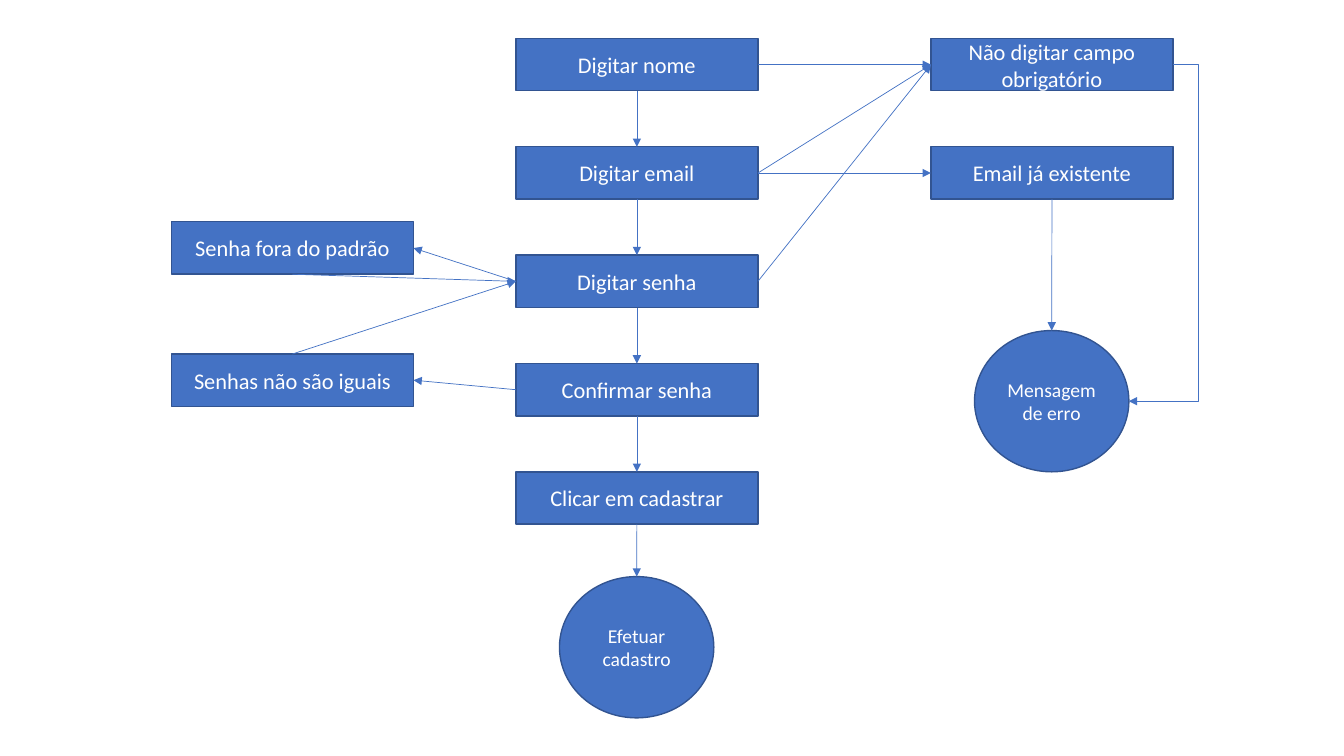
"""Flowchart of a user registration with its error paths."""
from dataclasses import dataclass

from lxml import etree
from pptx import Presentation, util as u
from pptx.dml.color import RGBColor
from pptx.enum import shapes, text
from pptx.oxml.ns import qn


@dataclass(frozen=True)
class Theme:
    """Colours, font and sizes of the flowchart."""
    fill: RGBColor = RGBColor(0x44, 0x72, 0xC4)
    outline: RGBColor = RGBColor(0x32, 0x54, 0x91)
    ink: RGBColor = RGBColor(0xFF, 0xFF, 0xFF)
    font: str = "Calibri"
    step_size: float = 16
    result_size: float = 14
    outline_width: float = 1
    arrow_width: float = 0.5


@dataclass(frozen=True)
class Node:
    """A step or a result, with lengths in centimetres."""
    label: str
    left: float
    top: float
    width: float = 6.1
    height: float = 1.32
    kind: shapes.MSO_SHAPE = shapes.MSO_SHAPE.RECTANGLE
    size: float = Theme.step_size


@dataclass(frozen=True)
class Arrow:
    """A straight arrow between the sides of two nodes."""
    source: str
    source_side: int
    target: str
    target_side: int


THEME = Theme()
TOP, LEFT, BOTTOM, RIGHT = range(4)
ERROR_COLUMN, MAIN_COLUMN, FIELD_COLUMN = 4.32, 13.0, 23.46
FIRST_ROW, ROW_STEP = 0.97, 2.73
DETOUR = 0.63

MAIN_STEPS = ["Digitar nome", "Digitar email", "Digitar senha",
              "Confirmar senha", "Clicar em cadastrar"]
NAME, EMAIL, PASSWORD, CONFIRM, REGISTER = MAIN_STEPS
FIELD_ERRORS = ["Não digitar campo obrigatório", "Email já existente"]
MISSING, EXISTING = FIELD_ERRORS
WEAK, DIFFERENT = "Senha fora do padrão", "Senhas não são iguais"
MESSAGE, DONE = "Mensagem de erro", "Efetuar cadastro"


def column(labels: list[str], left: float) -> list[Node]:
    """Return evenly spaced steps below one another."""
    return [Node(label, left, FIRST_ROW + row * ROW_STEP) for row, label in enumerate(labels)]


def result(label: str, column_left: float, top: float) -> Node:
    """Return a round node centred in a column."""
    return Node(label, column_left + 1.1, top, 3.89, 3.56,
                shapes.MSO_SHAPE.OVAL, THEME.result_size)


NODES = [
    *column(MAIN_STEPS, MAIN_COLUMN),
    Node(WEAK, ERROR_COLUMN, 5.59),
    Node(DIFFERENT, ERROR_COLUMN, 8.92),
    *column(FIELD_ERRORS, FIELD_COLUMN),
    result(MESSAGE, FIELD_COLUMN, 8.33),
    result(DONE, MAIN_COLUMN, 14.53),
]
MAIN_PATH = [*MAIN_STEPS, DONE]
ARROWS = [
    *(Arrow(source, BOTTOM, target, TOP) for source, target in zip(MAIN_PATH, MAIN_PATH[1:])),
    *(Arrow(source, RIGHT, MISSING, LEFT) for source in (NAME, EMAIL, PASSWORD)),
    Arrow(EMAIL, RIGHT, EXISTING, LEFT),
    Arrow(EXISTING, BOTTOM, MESSAGE, TOP),
    Arrow(PASSWORD, LEFT, WEAK, RIGHT),
    Arrow(WEAK, BOTTOM, PASSWORD, LEFT),
    Arrow(DIFFERENT, TOP, PASSWORD, LEFT),
    Arrow(CONFIRM, LEFT, DIFFERENT, RIGHT),
]


def apply_format(target: object, values: dict[str, object]) -> None:
    """Set every attribute named in the format values."""
    for name, value in values.items():
        setattr(target, name, value)


def draw_node(slide, node: Node):
    """Draw a node with its centred label and return the shape."""
    bounds = map(u.Cm, (node.left, node.top, node.width, node.height))
    shape = slide.shapes.add_shape(node.kind, *bounds)
    shape.shadow.inherit = False
    shape.fill.solid()
    shape.fill.fore_color.rgb = THEME.fill
    shape.line.color.rgb = THEME.outline
    shape.line.width = u.Pt(THEME.outline_width)
    frame = shape.text_frame
    apply_format(frame, {"word_wrap": True, "vertical_anchor": text.MSO_ANCHOR.MIDDLE})
    paragraph = frame.paragraphs[0]
    paragraph.alignment = text.PP_ALIGN.CENTER
    run = paragraph.add_run()
    run.text = node.label
    apply_format(run.font, {"name": THEME.font, "size": u.Pt(node.size)})
    run.font.color.rgb = THEME.ink
    return shape


def format_arrow(connector) -> None:
    """Give a connector its line, arrowhead and no shadow."""
    connector.line.color.rgb = THEME.fill
    connector.line.width = u.Pt(THEME.arrow_width)
    properties = connector._element.spPr
    etree.SubElement(properties.find(qn("a:ln")), qn("a:tailEnd"), type="triangle")
    etree.SubElement(properties, qn("a:effectLst"))


def draw_arrow(slide, arrow: Arrow, drawn: dict) -> None:
    """Draw a straight arrow attached to both of its nodes."""
    connector = slide.shapes.add_connector(shapes.MSO_CONNECTOR.STRAIGHT, 0, 0, 0, 0)
    connector.begin_connect(drawn[arrow.source], arrow.source_side)
    connector.end_connect(drawn[arrow.target], arrow.target_side)
    format_arrow(connector)


def draw_detour(slide, source, target) -> None:
    """Draw a bent arrow around the right sides of two nodes."""
    start, end = source.left + source.width, target.left + target.width
    connector = slide.shapes.add_connector(
        shapes.MSO_CONNECTOR.ELBOW, start, source.top + source.height // 2,
        end, target.top + target.height // 2)
    bend = -round(100000 * u.Cm(DETOUR) / (start - end))
    geometry = connector._element.spPr.find(qn("a:prstGeom"))
    etree.SubElement(geometry.find(qn("a:avLst")), qn("a:gd"), name="adj1", fmla=f"val {bend}")
    format_arrow(connector)


def main() -> None:
    """Build and save the presentation."""
    presentation = Presentation()
    apply_format(presentation, {"slide_width": u.Cm(33.87), "slide_height": u.Cm(19.05)})
    slide = presentation.slides.add_slide(presentation.slide_layouts[6])
    drawn = {node.label: draw_node(slide, node) for node in NODES}
    for arrow in ARROWS:
        draw_arrow(slide, arrow, drawn)
    draw_detour(slide, drawn[MISSING], drawn[MESSAGE])
    presentation.save("out.pptx")


if __name__ == "__main__":
    main()
